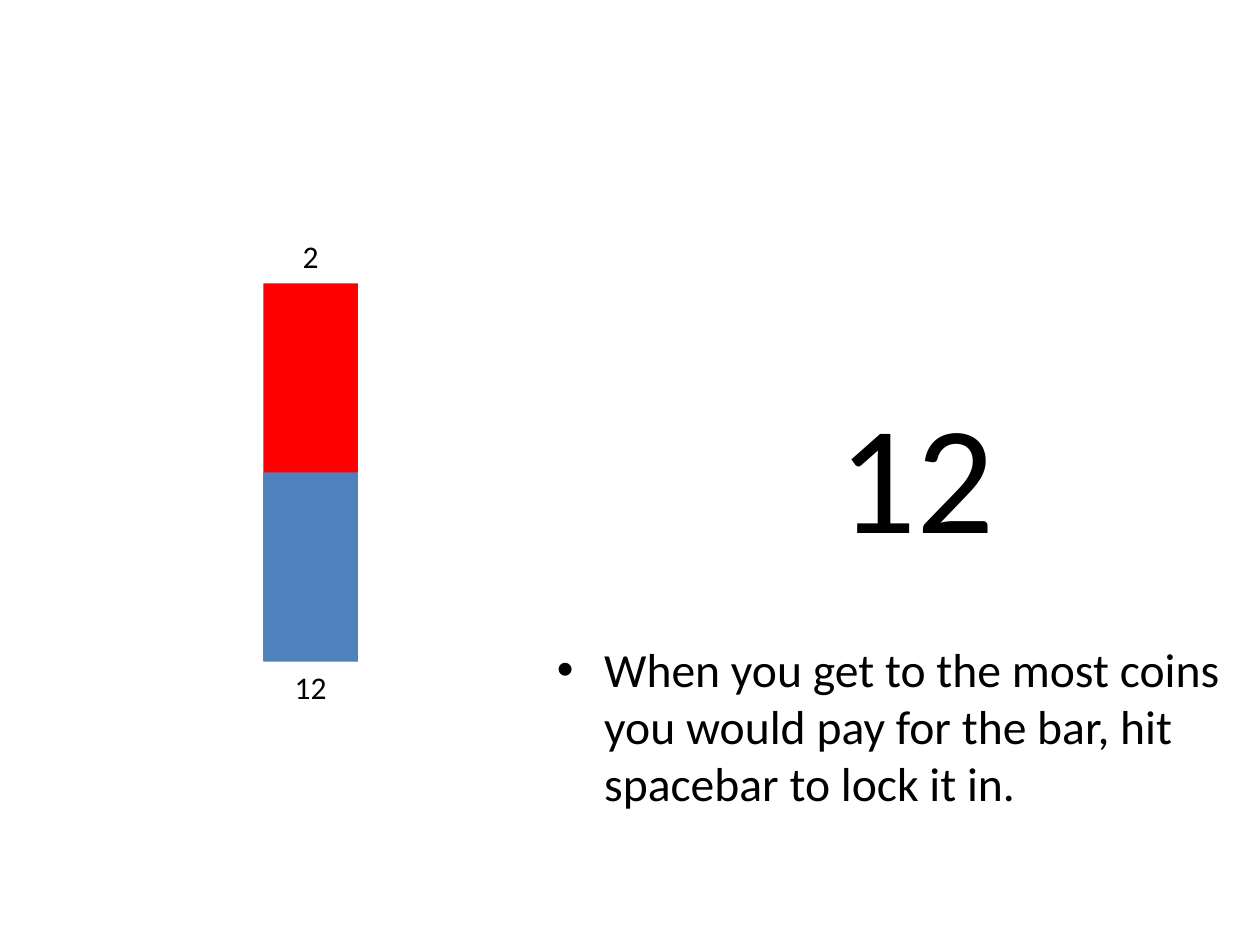
from pptx import Presentation
from pptx.dml.color import RGBColor
from pptx.enum.shapes import MSO_SHAPE
from pptx.enum.text import MSO_AUTO_SIZE, PP_ALIGN
from pptx.util import Inches, Pt

RECTANGLE = MSO_SHAPE.RECTANGLE
CENTER = PP_ALIGN.CENTER
LEFT = PP_ALIGN.LEFT
NO_AUTOFIT = MSO_AUTO_SIZE.NONE
GROW = MSO_AUTO_SIZE.SHAPE_TO_FIT_TEXT

# Content
COIN_COUNT = "12"
INSTRUCTION = ("When you get to the most coins you would pay for the bar, "
               "hit spacebar to lock it in.")
COINS_LEFT = "2"
FONT = "Calibri"
COLORS = {"text": "000000", "bar": "FF0000", "level": "4F81BD"}

# Bar geometry in inches
BAR_LEFT, BAR_TOP, BAR_WIDTH, BAR_HEIGHT = 2.09, 2.25, 0.75, 3
LEVEL_HEIGHT = BAR_HEIGHT / 2
BAR_BOTTOM = BAR_TOP + BAR_HEIGHT
LABEL_HEIGHT = 0.4
TOP_LABEL_Y = 1.83


def write(frame, text, size, align):
    frame.text = text
    paragraph = frame.paragraphs[0]
    paragraph.alignment = align
    font = paragraph.runs[0].font
    font.name = FONT
    font.size = Pt(size)
    font.color.rgb = RGBColor.from_string(COLORS["text"])


def add_label(shapes, box, text, size, align, wrap):
    frame = shapes.add_textbox(*map(Inches, box)).text_frame
    frame.word_wrap = wrap
    frame.auto_size = GROW
    write(frame, text, size, align)


def add_bar(shapes, height, color):
    bar = shapes.add_shape(RECTANGLE, Inches(BAR_LEFT), Inches(BAR_BOTTOM - height),
                           Inches(BAR_WIDTH), Inches(height))
    bar.shadow.inherit = False
    bar.fill.solid()
    bar.fill.fore_color.rgb = RGBColor.from_string(color)
    bar.line.fill.background()


def main():
    prs = Presentation()
    prs.slide_width, prs.slide_height = Inches(10), Inches(7.5)
    slide = prs.slides.add_slide(prs.slide_layouts[1])

    # The slide has no title
    title = slide.shapes.title.element
    title.getparent().remove(title)

    # Large coin count
    add_label(slide.shapes, (6.56, 2.96, 1.78, 1.58), COIN_COUNT, 88, LEFT, False)

    # Bulleted instruction
    instruction = slide.placeholders[1]
    instruction.left, instruction.top = Inches(4.32), Inches(5.03)
    instruction.width, instruction.height = Inches(5.5), Inches(1.28)
    instruction.text_frame.auto_size = NO_AUTOFIT
    write(instruction.text_frame, INSTRUCTION, 27.2, LEFT)

    # Coin bar with its level and the labels above and below
    gauge = slide.shapes.add_group_shape().shapes
    add_bar(gauge, BAR_HEIGHT, COLORS["bar"])
    add_bar(gauge, LEVEL_HEIGHT, COLORS["level"])
    for text, top in ((COINS_LEFT, TOP_LABEL_Y), (COIN_COUNT, BAR_BOTTOM)):
        add_label(gauge, (BAR_LEFT, top, BAR_WIDTH, LABEL_HEIGHT), text, 18, CENTER, True)

    prs.save("out.pptx")


if __name__ == "__main__":
    main()
